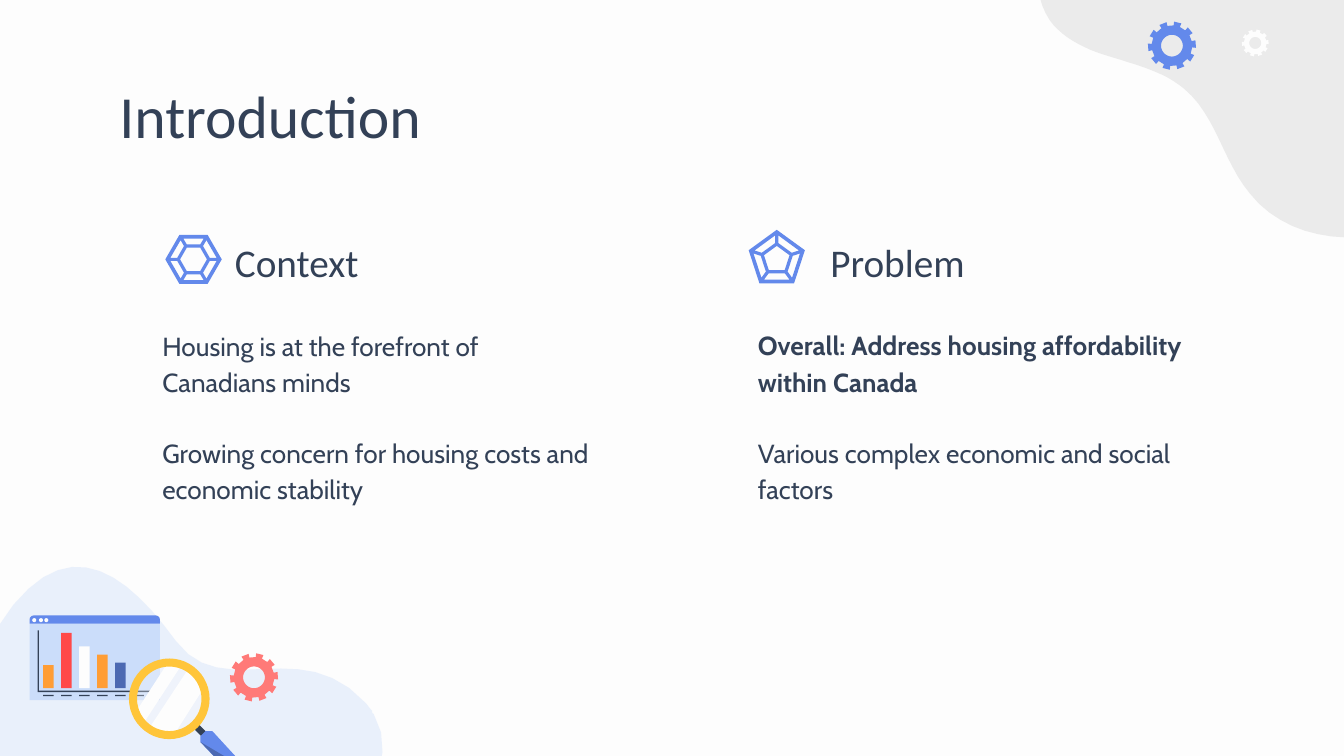
"""Build the Introduction slide with its context and problem columns."""
from math import cos, pi, radians, sin, tan

from lxml.etree import SubElement
from pptx import Presentation
from pptx.dml.color import RGBColor as RGB
from pptx.enum.shapes import MSO_SHAPE as SHAPE
from pptx.enum.text import MSO_ANCHOR as ANCHOR
from pptx.oxml.ns import qn
from pptx.util import Inches, Pt

PAPER = RGB(0xFD, 0xFD, 0xFD)
INK = RGB(0x33, 0x41, 0x57)
BLUE = RGB(0x63, 0x89, 0xEB)
NAVY = RGB(0x4C, 0x69, 0xB2)
PALE = RGB(0xCB, 0xDD, 0xFA)
GREY = RGB(0xEB, 0xEB, 0xEB)
ORANGE = RGB(0xFF, 0x9D, 0x35)
RED = RGB(0xFF, 0x49, 0x49)
CORAL = RGB(0xFF, 0x7A, 0x78)
YELLOW = RGB(0xFF, 0xC5, 0x3A)

WIDTH = 10
HEIGHT = WIDTH * 9 / 16
UNITS, STEPS = 1000, 12
COL_X, COL_PITCH, COL_W = 1.11, 4.43, 3.44
HEAD_INDENT, HEAD_Y, BODY_Y = 0.54, 1.27, 2.32

TITLE = "Introduction"
COLUMNS = [
    ("Context", 1.88, [("Housing is at the forefront of Canadians minds", False),
                       ("Growing concern for housing costs and economic stability", False)]),
    ("Problem", 1.24, [("Overall: Address housing affordability within Canada", True),
                       ("Various complex economic and social factors", False)]),
]
TITLE_FONT = {"name": "Calibri", "size": Pt(32)}
HEAD_FONT = {"name": "Calibri", "size": Pt(21)}
BODY_FONT = {"name": "Cabin", "size": Pt(14)}

BLOBS = [
    (PALE, 39, 311.2, [
        (2.72, 5.23), (2.74, 5.25, 2.75, 5.27, 2.77, 5.29), (2.77, 5.3, 2.77, 5.31, 2.78, 5.31),
        (3.1, 5.85, 2.21, 6.6, 1.71, 7.14), (1.42, 7.45, 1.47, 7.43, 1.03, 8),
        (0.69, 8.45, 0.37, 8.42, 0.21, 8.25), (0.16, 8.19, 0.13, 8.14, 0.12, 8.08),
        (0.03, 7.79, 0.04, 7.66, -0.72, 7.19), (-1.48, 6.73, -1.1, 6.35, -0.58, 6.06),
        (-0.06, 5.76, -0.35, 5.05, 0.1, 4.5), (0.55, 3.95, 0.96, 4.29, 1.31, 4.77),
        (1.66, 5.24, 2.24, 4.7, 2.72, 5.23)]),
    (GREY, 100, 21.5, [
        (11.13, -0.56), (11.35, -0.14, 11.37, 0.38, 11.21, 0.83),
        (11.07, 1.21, 10.79, 1.55, 10.41, 1.7), (10.03, 1.84, 9.55, 1.76, 9.3, 1.44),
        (9.1, 1.2, 9.05, 0.86, 8.81, 0.66), (8.67, 0.54, 8.48, 0.49, 8.29, 0.43),
        (8.11, 0.38, 7.92, 0.3, 7.81, 0.15), (7.67, -0.06, 7.71, -0.36, 7.86, -0.57),
        (8.01, -0.78, 8.24, -0.91, 8.48, -1.01), (9.14, -1.29, 10.03, -1.53, 10.67, -1.08),
        (10.86, -0.95, 11.02, -0.77, 11.13, -0.56)]),
]
BARS = [(0.17, ORANGE), (0.41, RED), (0.31, PAPER), (0.25, ORANGE), (0.19, NAVY)]
TICKS, BAR_X, BAR_W, BASELINE, TICK_Y = 6, 0.32, 0.08, 5.12, 5.17
BAR_PITCH = (0.99 - BAR_X) / (TICKS - 1)
AXIS = [(1.12, 5.15), (0.28, 5.15), (0.28, 4.69), (0.29, 4.69), (0.29, 5.14), (1.12, 5.14)]
HANDLE = [
    (INK, [(1.52, 5.5), (1.56, 5.47), (1.47, 5.38), (1.43, 5.41)]),
    (BLUE, [(1.81, 5.71), (1.82, 5.72, 1.81, 5.73, 1.8, 5.73), (1.77, 5.77),
            (1.76, 5.78, 1.73, 5.78, 1.72, 5.76), (1.49, 5.52), (1.49, 5.48), (1.53, 5.44),
            (1.58, 5.44), (1.8, 5.68), (1.81, 5.69, 1.81, 5.7, 1.81, 5.71)]),
    (NAVY, [(1.49, 5.52), (1.72, 5.76), (1.73, 5.77, 1.74, 5.77, 1.77, 5.77),
            (1.8, 5.73), (1.81, 5.71)]),
]
STREAKS = [
    [(1.51, 5.13), (1.3, 5.46), (1.28, 5.46, 1.27, 5.46, 1.26, 5.46),
     (1.2, 5.46, 1.16, 5.45, 1.11, 5.42), (1.4, 4.98), (1.46, 5.01, 1.5, 5.07, 1.51, 5.13)],
    [(1.35, 4.95), (1.07, 5.38), (1.04, 5.36, 1.03, 5.33, 1.01, 5.3), (1.25, 4.93),
     (1.29, 4.93, 1.32, 4.94, 1.35, 4.95)],
]
GEARS = [((1.89, 5.04), 0.18, CORAL), ((8.72, 0.34), 0.18, BLUE), ((9.34, 0.32), 0.1, PAPER)]
GEMS = [(6, (1.44, 1.93), 0.21), (5, (5.78, 1.93), 0.22)]
GEM_HOLE, GEM_LINE = 0.1, 0.03


def turn(point, angle, center=(0, 0)):
    a = radians(angle)
    x, y = point[0] - center[0], point[1] - center[1]
    return center[0] + x * cos(a) - y * sin(a), center[1] + x * sin(a) + y * cos(a)


def polar(center, radius, angle):
    return center[0] + radius * cos(radians(angle)), center[1] + radius * sin(radians(angle))


def ring(center, radius, count, start=0):
    return [polar(center, radius, start + 360 * k / count) for k in range(count)]


def flatten(outline):
    points = []
    for seg in outline:
        if len(seg) == 2:
            points.append(seg)
            continue
        ctrl = [points[-1], seg[:2], seg[2:4], seg[4:]]
        for t in (k / STEPS for k in range(1, STEPS + 1)):
            weights = ((1 - t) ** 3, 3 * t * (1 - t) ** 2, 3 * t * t * (1 - t), t ** 3)
            points.append(tuple(sum(w * c[i] for w, c in zip(weights, ctrl)) for i in (0, 1)))
    return points


def paint(sp, color, alpha=100):
    sp.shadow.inherit = False
    sp.fill.solid()
    sp.fill.fore_color.rgb = color
    sp.line.fill.background()
    if alpha < 100:
        for clr in sp._element.spPr.iter(qn("a:srgbClr")):
            SubElement(clr, qn("a:alpha")).set("val", str(alpha * 1000))
    return sp


def add_preset(s, kind, box, color, alpha=100):
    return paint(s.shapes.add_shape(kind, *map(Inches, box)), color, alpha)


def add_outline(s, contours, color, alpha=100):
    scaled = [[(x * UNITS, y * UNITS) for x, y in c] for c in contours]
    builder = s.shapes.build_freeform(*scaled[0][0], scale=Inches(1) / UNITS)
    for i, c in enumerate(scaled):
        if i:
            builder.move_to(*c[0])
        builder.add_line_segments(c[1:], close=True)
    return paint(builder.convert_to_shape(), color, alpha)


def add_blob(s, color, alpha, angle, outline):
    sp = add_outline(s, [[turn(pt, -angle) for pt in flatten(outline)]], color, alpha)
    x, y = turn((sp.left + sp.width / 2, sp.top + sp.height / 2), angle)
    sp.left, sp.top = int(x - sp.width / 2), int(y - sp.height / 2)
    sp.rotation = angle


def add_gear(s, center, radius, color):
    teeth = [polar(center, radius * share, 36 * k - 4 + offset) for k in range(10)
             for share, offset in ((0.84, -9), (1, -9), (1, 9), (0.84, 9))]
    add_outline(s, [teeth, ring(center, radius * 0.45, 36)], color)


def add_gem(s, sides, center, radius):
    half = pi / sides
    start = 90 + 180 / sides
    near = GEM_HOLE * cos(half) + GEM_LINE * 0.8
    far = radius * cos(half) - GEM_LINE * 0.9
    near_w, far_w = (d * tan(half) - GEM_LINE * 0.4 / cos(half) for d in (near, far))
    facet = [(-near_w, near), (near_w, near), (far_w, far), (-far_w, far)]
    contours = [ring(center, radius, sides, start), ring(center, GEM_HOLE, sides, start)]
    for k in range(sides):
        contours.append([turn((center[0] + x, center[1] + y), 360 * k / sides, center)
                         for x, y in facet])
    add_outline(s, contours, BLUE)


def add_text(s, box, lines, font, spacing=1.0, anchor=ANCHOR.TOP):
    tf = s.shapes.add_textbox(*map(Inches, box)).text_frame
    margins = {f"margin_{side}": Inches(0.1) for side in ("left", "top", "right", "bottom")}
    for key, value in {"word_wrap": True, "vertical_anchor": anchor, **margins}.items():
        setattr(tf, key, value)
    for i, (text, bold) in enumerate(lines):
        p = tf.add_paragraph() if i else tf.paragraphs[0]
        p.line_spacing = spacing
        p.space_before = Pt(19.2 if i else 0)
        r = p.add_run()
        r.text = text
        for key, value in {**font, "bold": bold}.items():
            setattr(r.font, key, value)
        r.font.color.rgb = INK


def add_chart_art(s):
    add_preset(s, SHAPE.RECTANGLE, (0.22, 4.64, 0.97, 0.57), PALE)
    add_preset(s, SHAPE.ROUND_2_SAME_RECTANGLE, (0.22, 4.58, 0.97, 0.06), BLUE).adjustments[0] = 0.5
    for x in (0.24, 0.29, 0.33):
        add_preset(s, SHAPE.OVAL, (x, 4.6, 0.03, 0.03), PAPER)
    add_outline(s, [AXIS], INK)
    for i, (h, color) in enumerate(BARS):
        add_preset(s, SHAPE.RECTANGLE, (BAR_X + i * BAR_PITCH, BASELINE - h, BAR_W, h), color)
    for i in range(TICKS):
        add_preset(s, SHAPE.RECTANGLE, (BAR_X + i * BAR_PITCH, TICK_Y, BAR_W, 0.01), INK)


def add_magnifier(s):
    for color, outline in HANDLE:
        add_outline(s, [flatten(outline)], color)
    add_preset(s, SHAPE.OVAL, (0.99, 4.93, 0.53, 0.53), PAPER, 30)
    for outline in STREAKS:
        add_outline(s, [flatten(outline)], PAPER)
    add_preset(s, SHAPE.DONUT, (0.96, 4.9, 0.6, 0.6), YELLOW).adjustments[0] = 0.1


def main():
    prs = Presentation()
    prs.slide_width, prs.slide_height = Inches(WIDTH), Inches(HEIGHT)
    s = prs.slides.add_slide(prs.slide_layouts[6])
    s.background.fill.solid()
    s.background.fill.fore_color.rgb = PAPER
    for blob in BLOBS:
        add_blob(s, *blob)
    add_chart_art(s)
    add_magnifier(s)
    for gear in GEARS:
        add_gear(s, *gear)
    add_text(s, (0.79, 0.49, 8.43, 0.63), [(TITLE, False)], TITLE_FONT)
    for i, (head, body_h, lines) in enumerate(COLUMNS):
        x = COL_X + i * COL_PITCH
        add_text(s, (x, BODY_Y, COL_W, body_h), lines, BODY_FONT, 1.15)
        add_text(s, (x + HEAD_INDENT, HEAD_Y, COL_W, 0.95), [(head, False)], HEAD_FONT, 1.15,
                 ANCHOR.BOTTOM)
    for gem in GEMS:
        add_gem(s, *gem)
    prs.save("out.pptx")


if __name__ == "__main__":
    main()
